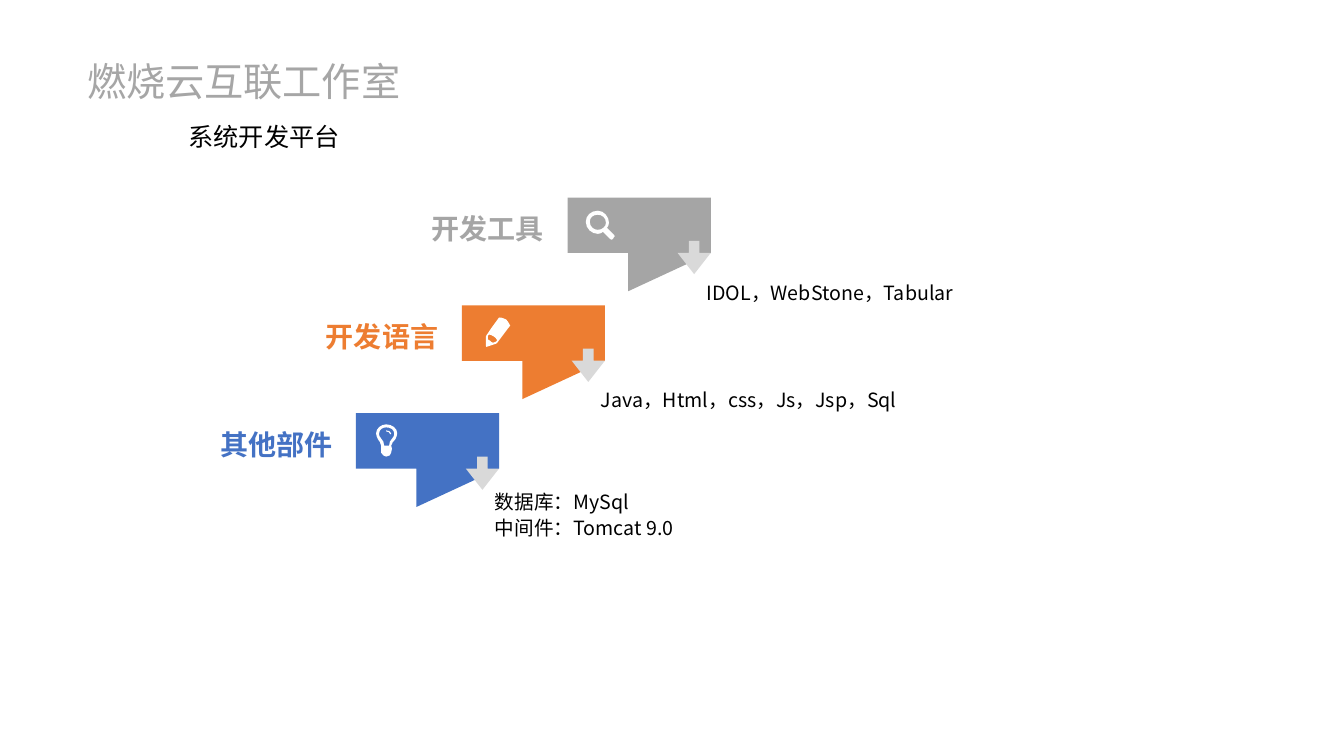
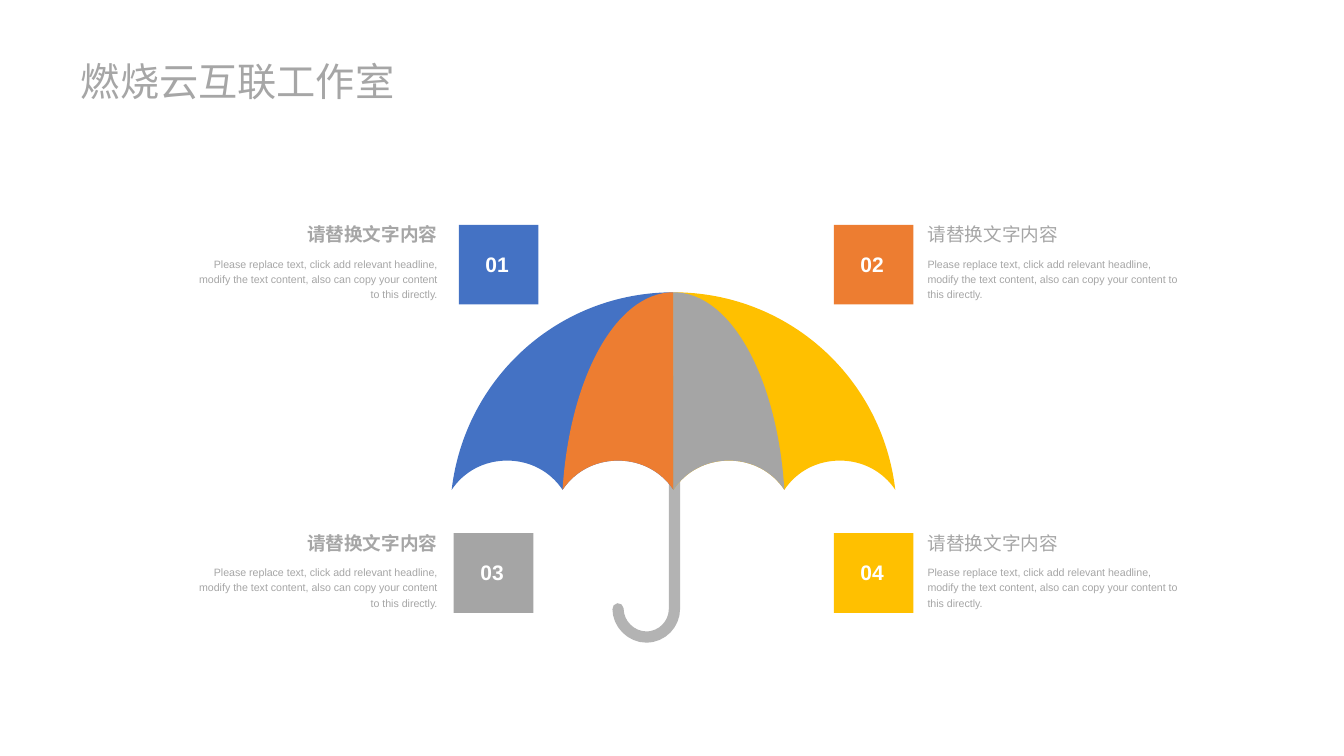
"""Build two slides: a staircase of development platforms and an umbrella with four cards."""
import pptx
import pptx.util
import pptx.dml.color
import pptx.enum.shapes
import pptx.enum.text
import pptx.oxml.ns
import lxml.etree

Inches = pptx.util.Inches
SHAPE = pptx.enum.shapes.MSO_SHAPE
ALIGN = pptx.enum.text.PP_ALIGN
ANCHOR = pptx.enum.text.MSO_ANCHOR
RGB = pptx.dml.color.RGBColor.from_string
QN = pptx.oxml.ns.qn

HUES = {"blue": "4472C4", "orange": "ED7D31", "gray": "A5A5A5", "gold": "FFC000",
        "pale": "D9D9D9", "pole": "B3B3B3", "soft": "A6A6A6", "white": "FFFFFF",
        "black": "000000"}
SANS = "Noto Sans CJK SC"
HEAD = "Noto Sans CJK JP"
TITLE = "燃烧云互联工作室"


def write(shape, text, size, hue, font, bold=False, align=ALIGN.LEFT, gap=1.0,
          pad=(0.1, 0.05, 0.1, 0.05), wrap=True, anchor=ANCHOR.TOP):
    """Fill a shape with styled text."""
    frame = shape.text_frame
    frame.text = text
    frame.word_wrap = wrap
    frame.auto_size = pptx.enum.text.MSO_AUTO_SIZE.NONE
    frame.vertical_anchor = anchor
    frame.margin_left, frame.margin_top, frame.margin_right, frame.margin_bottom = map(Inches, pad)
    for para in frame.paragraphs:
        para.alignment = align
        para.line_spacing = gap
        for run in para.runs:
            run.font.size = pptx.util.Pt(size)
            run.font.bold = bold
            run.font.name = font
            run.font.color.rgb = RGB(HUES[hue])
            east = lxml.etree.SubElement(run.font._element, QN("a:ea"))
            east.set("typeface", font)


def draw(slide, path, left, top, hue=None, flip=1):
    """Trace an outline of moves, lines and curves, in inches from a corner."""
    form = None
    marks = []
    for part in path.split(","):
        mark, *nums = part.split()
        nums = [float(num) for num in nums]
        spots = [(Inches(left + flip * x), Inches(top + y)) for x, y in zip(nums[::2], nums[1::2])]
        marks.append(mark)
        if mark == "M" and form is None:
            form = slide.shapes.build_freeform(*spots[0], scale=1.0)
        elif mark == "M":
            form.move_to(*spots[0])
        else:
            form.add_line_segments(spots, close=mark == "Z")
    shape = form.convert_to_shape()
    nodes = iter(list(shape._element.find(".//" + QN("a:path"))))
    for mark in marks:
        node = next(nodes)
        if mark == "C":
            node.tag = QN("a:cubicBezTo")
            for more in (next(nodes), next(nodes)):
                node.append(more[0])
                more.getparent().remove(more)
    shape.shadow.inherit = False
    if hue:
        shape.fill.solid()
        shape.fill.fore_color.rgb = RGB(HUES[hue])
        shape.line.fill.background()
    else:
        shape.fill.background()
    return shape


FLAG = "M .6 .93,L .6 .55,L 0 .55,L 0 0,L 1.42 0,L 1.42 .55,Z"
LENS = ("M .04 .11,C .04 .07 .07 .04 .12 .04,C .16 .04 .2 .07 .2 .12,C .2 .16 .16 .19 .12 .19,"
        "C .08 .19 .04 .16 .04 .11,Z,M .28 .24,L .21 .17,C .22 .16 .23 .14 .23 .12,"
        "C .23 .06 .18 0 .12 0,C .05 0 0 .05 0 .11,C 0 .18 .06 .23 .12 .23,"
        "C .14 .23 .16 .22 .17 .21,L .24 .28,C .25 .29 .26 .29 .27 .28,L .28 .26,"
        "C .29 .26 .29 .25 .28 .24,Z")
PEN = ("M .1 .24,L .07 .25,C .06 .25 .05 .24 .04 .23,C .03 .22 .02 .22 .02 .22,L .02 .18,"
       "L .03 .17,C .03 .17 .05 .17 .08 .19,C .11 .21 .11 .23 .11 .23,Z,M .2 .02,"
       "C .16 0 .14 0 .13 0,L .05 .11,L .01 .17,C .01 .17 0 .18 0 .19,L 0 .28,"
       "C 0 .29 0 .3 .01 .29,L .1 .26,C .11 .26 .11 .25 .12 .24,L .15 .2,L .24 .08,"
       "C .23 .07 .23 .05 .2 .02,Z")
BULB = ("M .14 .1,C .14 .08 .12 .07 .1 .07,L .1 .06,C .12 .06 .15 .07 .15 .09,"
        "C .15 .1 .15 .1 .14 .1,Z,M .1 .03,C .07 .03 .03 .05 .03 .09,"
        "C .03 .11 .03 .12 .05 .14,C .07 .16 .08 .18 .08 .21,L .13 .21,"
        "C .13 .18 .14 .16 .16 .14,C .18 .12 .18 .11 .18 .09,C .18 .05 .14 .03 .1 .03,Z,"
        "M .19 .15,C .17 .16 .16 .19 .15 .21,C .16 .23 .16 .25 .15 .28,"
        "C .15 .3 .13 .32 .1 .32,C .08 .32 .06 .3 .05 .28,C .05 .25 .05 .23 .05 .21,"
        "C .05 .19 .03 .16 .02 .15,C .01 .13 0 .11 0 .09,C 0 .04 .05 0 .1 0,"
        "C .16 0 .21 .04 .21 .09,C .21 .11 .2 .13 .19 .15,Z")
RIM = "M 0 0,L 0 1.96,C .12 1.78 .32 1.67 .55 1.67,C .78 1.67 .98 1.78 1.1 1.96,"
INNER = RIM + "C 1.03 .85 .57 0 0 0,Z"
OUTER = RIM + "C 1.22 1.78 1.42 1.67 1.65 1.67,C 1.88 1.67 2.08 1.78 2.2 1.96,C 2.07 .85 1.14 0 0 0,Z"
HOOK = "M 0 2.26,C 0 2.41 .13 2.54 .28 2.54,C .44 2.54 .56 2.41 .56 2.26,L .56 0"

deck = pptx.Presentation()
deck.slide_width, deck.slide_height = Inches(13.33), Inches(7.5)
slides = []
for left, width in ((0.73, 3.32), (0.63, 3.36)):
    slide = deck.slides.add_slide(deck.slide_layouts[5])
    title = slide.shapes.title
    title.left, title.top, title.width, title.height = map(Inches, (left, 0.48, width, 0.54))
    write(title, TITLE, 28, "soft", HEAD, align=ALIGN.RIGHT, gap=1.2,
          pad=(0.08, 0, 0.08, 0), wrap=False)
    slides.append(slide)
stairs, cover = slides

box = stairs.shapes.add_textbox(Inches(1.77), Inches(1.15), Inches(1.99), Inches(0.4))
write(box, "系统开发平台", 18, "black", SANS)

STEPS = [("开发工具", "gray", LENS, 0.18, 0.13, "IDOL，WebStone，Tabular"),
         ("开发语言", "orange", PEN, 0.24, 0.12, "Java，Html，css，Js，Jsp，Sql"),
         ("其他部件", "blue", BULB, 0.2, 0.11, "数据库：MySql\n中间件：Tomcat 9.0")]
for row, (label, hue, icon, across, down, body) in enumerate(STEPS):
    left, top = 5.63 - 1.05 * row, 1.96 + 1.07 * row
    draw(stairs, FLAG, left, top, hue)
    draw(stairs, icon, left + across, top + down, "white")
    arrow = stairs.shapes.add_shape(SHAPE.DOWN_ARROW, Inches(left + 1.09), Inches(top + 0.43),
                                    Inches(0.33), Inches(0.33))
    arrow.adjustments[0], arrow.adjustments[1] = 0.32, 0.64
    arrow.shadow.inherit = False
    arrow.fill.solid()
    arrow.fill.fore_color.rgb = RGB(HUES["pale"])
    arrow.line.fill.background()
    box = stairs.shapes.add_textbox(Inches(left - 1.47), Inches(top + 0.09), Inches(1.36), Inches(0.34))
    write(box, label, 20, hue, SANS, bold=True, align=ALIGN.CENTER, wrap=False)
    drop = 0.69 if "\n" in body else 0.75
    box = stairs.shapes.add_textbox(Inches(left + 1.28), Inches(top + drop), Inches(4.96), Inches(0.75))
    write(box, body, 14, "black", SANS, align=ALIGN.JUSTIFY, gap=1.1)

pole = draw(cover, HOOK, 6.13, 3.78)
pole.line.color.rgb = RGB(HUES["pole"])
pole.line.width = pptx.util.Pt(8)
pole.line._get_or_add_ln().set("cap", "rnd")
for path, flip, hue in [(OUTER, 1, "gold"), (OUTER, -1, "blue"),
                        (INNER, -1, "orange"), (INNER, 1, "gray")]:
    draw(cover, path, 6.68, 2.9, hue, flip)

NOTE = ("Please replace text, click add relevant headline, modify the text content, "
        "also can copy your content to this directly.")
CARDS = [("01", "blue", 4.55, 2.06), ("02", "orange", 8.27, 2.06),
         ("03", "gray", 4.5, 5.12), ("04", "gold", 8.27, 5.12)]
for num, hue, left, top in CARDS:
    west = left < 6
    align = ALIGN.RIGHT if west else ALIGN.LEFT
    start, span = (2.92, 1.42) if west else (9.2, 1.67)
    box = cover.shapes.add_textbox(Inches(start), Inches(top), Inches(span), Inches(0.37))
    write(box, "请替换文字内容", 13.3, "soft", "Arial", bold=west, align=align, gap=1.2,
          pad=(0, 0.11, 0, 0.11))
    start, span = (1.88, 2.46) if west else (9.2, 2.5)
    box = cover.shapes.add_textbox(Inches(start), Inches(top + 0.47), Inches(span), Inches(0.65))
    write(box, NOTE, 7.6, "soft", "Arial", align=align, gap=1.2, pad=(0, 0, 0, 0))
    tile = cover.shapes.add_shape(SHAPE.RECTANGLE, Inches(left), Inches(top + 0.17),
                                  Inches(0.79), Inches(0.79))
    tile.shadow.inherit = False
    tile.fill.solid()
    tile.fill.fore_color.rgb = RGB(HUES[hue])
    tile.line.fill.background()
    write(tile, num, 15, "white", "Arial", bold=True, align=ALIGN.CENTER, gap=1.2,
          pad=(0, 0, 0.03, 0.07), anchor=ANCHOR.MIDDLE)

deck.save("out.pptx")
